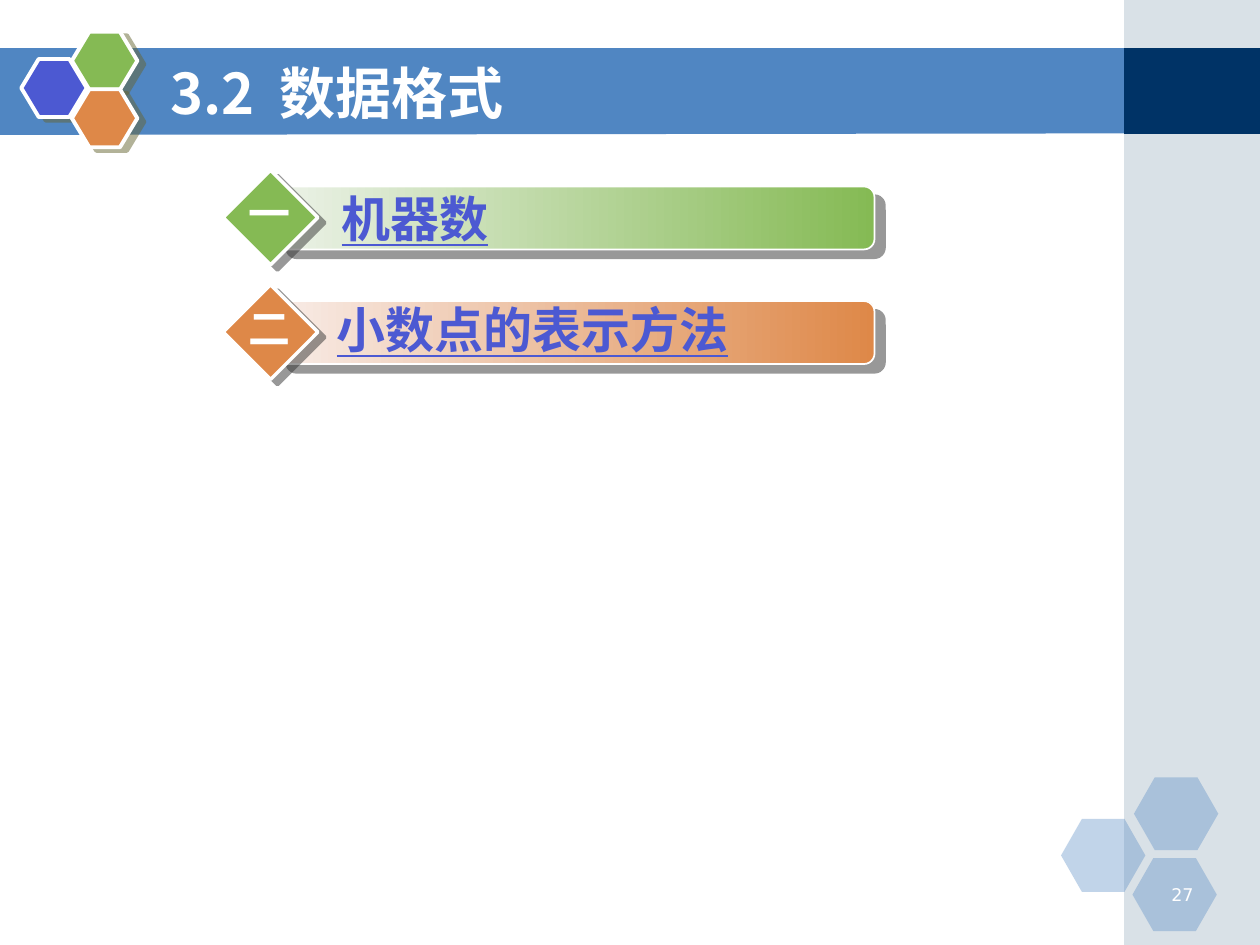
from dataclasses import dataclass
from typing import Optional

from lxml import etree
from pptx import Presentation
from pptx.dml.color import RGBColor
from pptx.enum.shapes import MSO_SHAPE
from pptx.enum.text import MSO_ANCHOR, MSO_AUTO_SIZE, PP_ALIGN
from pptx.oxml.ns import qn
from pptx.util import Cm, Pt

RECT = MSO_SHAPE.RECTANGLE
HEXAGON = MSO_SHAPE.HEXAGON
DIAMOND = MSO_SHAPE.DIAMOND
ROUNDED = MSO_SHAPE.ROUNDED_RECTANGLE
LEFT, CENTER, RIGHT = PP_ALIGN.LEFT, PP_ALIGN.CENTER, PP_ALIGN.RIGHT
MIDDLE = MSO_ANCHOR.MIDDLE
GROW, FIXED = MSO_AUTO_SIZE.SHAPE_TO_FIT_TEXT, MSO_AUTO_SIZE.NONE

CJK, SANS = "Noto Sans CJK SC", "DejaVu Sans"
WHITE, BLUE, NAVY, MIST = "FFFFFF", "5086C2", "003366", "A0B5C4"
INDIGO, GREEN, ORANGE = "4C59D2", "85BA54", "DE8848"


@dataclass(frozen=True)
class Box:
    left: float
    top: float
    width: float
    height: float

    def lengths(self) -> tuple:
        return Cm(self.left), Cm(self.top), Cm(self.width), Cm(self.height)


@dataclass(frozen=True)
class Shadow:
    color: str
    distance: float
    angle: int


@dataclass(frozen=True)
class Topic:
    numeral: str
    name: str
    color: str
    pale: str
    name_left: float
    name_offset: float
    name_width: float


LOGO_SHADOW = Shadow("666633", 4.5, 27)
BAR_SHADOW = Shadow("333333", 7.8, 40)
DIAMOND_SHADOW = Shadow("333333", 5, 37)

LOGO_CELLS = [(0.43, 1.19, INDIGO), (1.45, 0.64, GREEN), (1.45, 1.80, ORANGE)]
CORNER_CELLS = [(21.39, 16.51), (22.86, 15.67), (22.83, 17.30)]
TOPICS = [
    Topic("一", "机器数", GREEN, "ECF2E8", 6.20, 0.25, 9.53),
    Topic("二", "小数点的表示方法", ORANGE, "F8ECE7", 6.10, 0.18, 10.92),
]
FIRST_ROW, ROW_PITCH = 3.43, 2.31


def rgb(color: str) -> RGBColor:
    return RGBColor.from_string(color)


def add_color(parent, color: str, alpha: int) -> None:
    value = etree.SubElement(parent, qn("a:srgbClr"), val=color)
    etree.SubElement(value, qn("a:alpha"), val=str(alpha * 1000))


def paint(shape, color: str, alpha: int = 100, pale: Optional[str] = None,
          outline: float = 0, shadow: Optional[Shadow] = None) -> None:
    if pale:
        shape.fill.gradient()
        shape.fill.gradient_angle = 0
        for stop, tone in zip(shape.fill.gradient_stops, (pale, color)):
            stop.color.rgb = rgb(tone)
    else:
        shape.fill.solid()
        shape.fill.fore_color.rgb = rgb(color)
    if alpha < 100:
        solid = shape.element.spPr.find(qn("a:solidFill"))
        solid.remove(solid[0])
        add_color(solid, color, alpha)
    if outline:
        shape.line.color.rgb = rgb(WHITE)
        shape.line.width = Pt(outline)
    else:
        shape.line.fill.background()
    shape.shadow.inherit = False
    if shadow:
        effects = shape.element.spPr.find(qn("a:effectLst"))
        cast = etree.SubElement(
            effects, qn("a:outerShdw"), dist=str(Pt(shadow.distance)),
            dir=str(shadow.angle * 60000), algn="ctr", rotWithShape="0")
        add_color(cast, shadow.color, 50)


def add_block(slide, kind, box: Box, color: str,
              adjust: Optional[float] = None, **look) -> None:
    block = slide.shapes.add_shape(kind, *box.lengths())
    if adjust is not None:
        block.adjustments[0] = adjust
    paint(block, color, **look)


def add_run(paragraph, text: str, size: float, color: str,
            font: str = CJK, spacing: float = 0, **formats) -> None:
    run = paragraph.add_run()
    run.text = text
    run.font.color.rgb = rgb(color)
    for attribute, value in {"name": font, "size": Pt(size), **formats}.items():
        setattr(run.font, attribute, value)
    properties = run.font.fill._xPr
    etree.SubElement(properties, qn("a:ea")).set("typeface", font)
    if spacing:
        properties.set("spc", str(int(spacing * 100)))


def add_label(slide, box: Box, text: str, size: float, color: str,
              align=LEFT, indent: float = 0, wrap: bool = True, **formats) -> None:
    frame = slide.shapes.add_textbox(*box.lengths()).text_frame
    settings = {"word_wrap": wrap, "auto_size": GROW,
                "margin_left": Cm(0.25 + indent)}
    for attribute, value in settings.items():
        setattr(frame, attribute, value)
    frame.paragraphs[0].alignment = align
    add_run(frame.paragraphs[0], text, size, color, **formats)


def add_backdrop(slide) -> None:
    builder = slide.shapes.build_freeform(Cm(-0.02), Cm(0.97))
    corners = [(22.73, 0.97), (22.73, 2.69), (-0.02, 2.72)]
    builder.add_line_segments([(Cm(x), Cm(y)) for x, y in corners])
    paint(builder.convert_to_shape(), BLUE)
    add_block(slide, RECT, Box(22.66, 0, 2.74, 19.05), MIST, alpha=40)
    add_block(slide, RECT, Box(22.66, 0.97, 2.74, 1.73), NAVY)
    for left, top in CORNER_CELLS:
        add_block(slide, HEXAGON, Box(left, top, 1.70, 1.47), BLUE,
                  adjust=0.286, alpha=35)
    for left, top, color in LOGO_CELLS:
        add_block(slide, HEXAGON, Box(left, top, 1.32, 1.17), color,
                  adjust=0.3, outline=2.25, shadow=LOGO_SHADOW)


def add_heading(slide) -> None:
    heading = slide.shapes.title
    heading.element.getparent().append(heading.element)
    place = zip(("left", "top", "width", "height"),
                Box(3.18, 1.07, 18.62, 1.57).lengths())
    for attribute, value in place:
        setattr(heading, attribute, value)
    frame = heading.text_frame
    for attribute, value in {"word_wrap": True, "auto_size": FIXED,
                             "vertical_anchor": MIDDLE}.items():
        setattr(frame, attribute, value)
    paragraph = frame.paragraphs[0]
    paragraph.alignment = LEFT
    for text, spacing in (("3.2", 0), (" ", 7), ("数据格式", 0)):
        add_run(paragraph, text, 32, WHITE, spacing=spacing, bold=True)


def add_topic(slide, topic: Topic, top: float) -> None:
    add_block(slide, ROUNDED, Box(5.56, top + 0.33, 12.07, 1.27), topic.color,
              adjust=0.167, pale=topic.pale, outline=1, shadow=BAR_SHADOW)
    add_block(slide, DIAMOND, Box(4.50, top, 1.91, 1.91), topic.color,
              outline=2, shadow=DIAMOND_SHADOW)
    name_box = Box(topic.name_left, top + topic.name_offset, topic.name_width, 1.45)
    add_label(slide, name_box, topic.name, 28, INDIGO, indent=0.44,
              bold=True, underline=True)
    add_label(slide, Box(4.75, top + 0.23, 1.37, 1.27), topic.numeral, 24, WHITE,
              align=CENTER, wrap=False, bold=True)


def main() -> None:
    deck = Presentation()
    deck.slide_width, deck.slide_height = Cm(25.4), Cm(19.05)
    slide = deck.slides.add_slide(deck.slide_layouts[5])
    add_backdrop(slide)
    add_label(slide, Box(23.04, 17.70, 1.27, 0.64), "27", 10, WHITE,
              align=RIGHT, font=SANS)
    add_heading(slide)
    for row, topic in enumerate(TOPICS):
        add_topic(slide, topic, FIRST_ROW + row * ROW_PITCH)
    deck.save("out.pptx")


if __name__ == "__main__":
    main()
